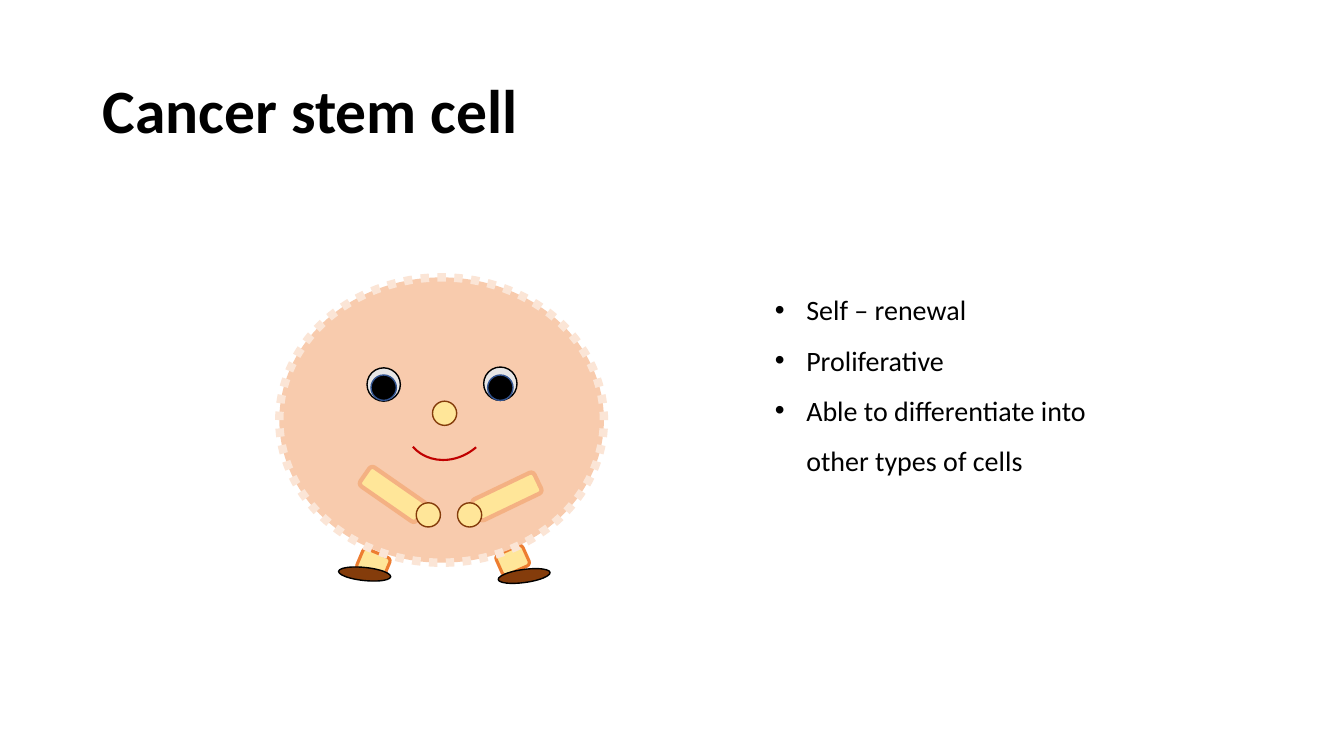
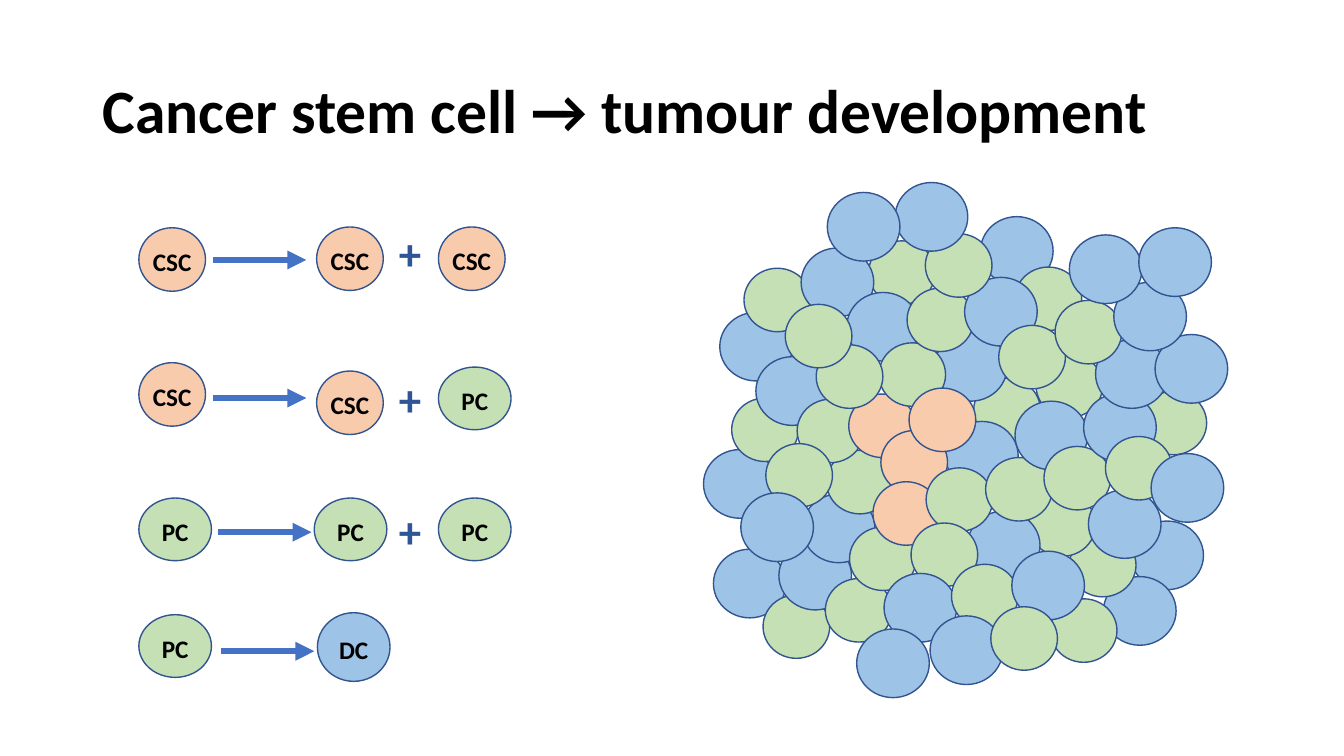
import dataclasses

import pptx
import pptx.dml.color
import pptx.enum.dml
import pptx.enum.shapes
import pptx.enum.text
import pptx.oxml
import pptx.oxml.ns
import pptx.util

Cm = pptx.util.Cm
Pt = pptx.util.Pt
SHAPES = pptx.enum.shapes.MSO_SHAPE
ALIGN = pptx.enum.text.PP_ALIGN
ANCHOR = pptx.enum.text.MSO_ANCHOR


@dataclasses.dataclass(frozen=True)
class Theme:
    font: str = "Calibri"
    title_size: int = 44
    plus_size: int = 32
    body_size: int = 20
    label_size: int = 18
    black: str = "000000"
    peach: str = "F8CBAD"
    pale_peach: str = "FBE5D6"
    green: str = "C5E0B4"
    blue: str = "9DC3E6"
    outline: str = "325491"
    arrow: str = "4472C4"
    plus: str = "2F5597"
    skin: str = "FFE699"
    orange: str = "ED7D31"
    light_orange: str = "F4B183"
    brown: str = "843C0B"
    grey: str = "E7E6E6"
    red: str = "C00000"


THEME = Theme()

# Features of the cell figure: geometry, width, height, fill, line colour, line width
FEATURES = {
    "leg": (SHAPES.ROUNDED_RECTANGLE, 0.74, 0.56, THEME.skin, THEME.orange, 2.25),
    "body": (SHAPES.OVAL, 8.18, 7.19, THEME.peach, THEME.pale_peach, 6),
    "arm": (SHAPES.ROUNDED_RECTANGLE, 1.73, 0.58, THEME.skin, THEME.light_orange, 3),
    "shoe": (SHAPES.OVAL, 1.32, 0.33, THEME.brown, THEME.black, 1),
    "eye": (SHAPES.OVAL, 0.84, 0.84, THEME.grey, THEME.black, 1),
    "pupil": (SHAPES.OVAL, 0.64, 0.64, THEME.black, THEME.outline, 1),
    "hand": (SHAPES.OVAL, 0.61, 0.61, THEME.skin, THEME.brown, 1),
    "nose": (SHAPES.OVAL, 0.61, 0.61, THEME.skin, THEME.brown, 1),
    "smile": (SHAPES.ARC, 2.39, 2.11, None, THEME.red, 1.5),
}

# Back to front: feature, left, top, rotation
FIGURE = [
    ("leg", 12.55, 13.84, 335.9),
    ("leg", 9.04, 13.92, 22.7),
    ("body", 7.04, 6.99, 0),
    ("arm", 11.91, 12.22, 334.4),
    ("arm", 9.04, 12.17, 34.8),
    ("shoe", 8.53, 14.3, 5.9),
    ("shoe", 12.55, 14.35, 352.2),
    ("eye", 9.25, 9.27, 0),
    ("eye", 12.19, 9.25, 0),
    ("pupil", 9.35, 9.45, 0),
    ("pupil", 12.29, 9.45, 0),
    ("hand", 10.49, 12.67, 14.1),
    ("hand", 11.53, 12.67, 1),
    ("nose", 10.9, 10.11, 0),
    ("smile", 10.11, 9.42, 139),
]

# Cell kinds: fill, size in the tumour, size in the division rows
CELLS = {
    "CSC": (THEME.peach, (1.68, 1.6), (1.68, 1.6)),
    "PC": (THEME.green, (1.68, 1.6), (1.83, 1.58)),
    "DC": (THEME.blue, (1.83, 1.73), (1.83, 1.73)),
}

# Each division: cells (kind, left, top), arrow start, top of the plus sign
DIVISIONS = [
    ([("CSC", 3.5, 5.74), ("CSC", 7.98, 5.72), ("CSC", 11.05, 5.72)], (5.36, 6.55), 5.56),
    ([("CSC", 3.5, 9.14), ("CSC", 7.98, 9.35), ("PC", 11.05, 9.25)], (5.36, 10.03), 9.25),
    ([("PC", 3.5, 12.55), ("PC", 7.92, 12.55), ("PC", 11.05, 12.55)], (5.49, 13.41), 12.57),
    ([("PC", 3.5, 15.49), ("DC", 8, 15.44)], (5.56, 16.41), None),
]

# Back to front: runs of one kind with their left and top
TUMOUR = [
    ("DC", [(18.14, 7.87), (24.71, 5.46), (28.5, 13.13), (27.81, 14.53)]),
    ("PC", [(26.47, 15.09), (25.58, 6.73), (18.75, 6.76), (28.73, 9.86), (26.95, 13.44)]),
    ("DC", [(17.98, 13.84)]),
    ("PC", [(21.89, 6.07), (26.11, 8.92), (19.23, 14.99)]),
    ("DC", [(20.19, 6.25), (17.73, 11.33), (19.63, 13.64)]),
    ("PC", [(18.44, 10.03), (20.8, 14.58), (25.93, 12.42), (24.54, 9.53)]),
    ("DC", [(23.83, 10.62), (23.55, 8.38), (24.38, 12.88), (19.05, 8.99),
            (21.34, 7.37), (20.22, 12.45)]),
    ("PC", [(21.41, 13.28), (20.83, 11.35), (20.09, 10.06)]),
    ("CSC", [(21.39, 9.93), (22.2, 10.85)]),
    ("PC", [(22.15, 8.64)]),
    ("CSC", [(22.91, 9.78), (22, 12.14)]),
    ("PC", [(20.57, 8.69), (23.34, 11.79), (22.96, 13.18)]),
    ("DC", [(22.28, 14.45)]),
    ("PC", [(23.98, 14.22), (24.84, 11.53), (19.3, 11.18), (22.86, 7.26), (19.79, 7.67)]),
    ("DC", [(25.5, 13.89), (25.58, 10.11), (18.67, 12.42), (24.31, 6.99)]),
    ("PC", [(26.31, 11.25), (25.17, 8.2), (23.32, 5.89)]),
    ("DC", [(27.31, 9.91), (23.44, 15.52), (22.56, 4.6), (21.59, 15.85),
            (27.61, 8.56), (27.43, 12.34)]),
    ("PC", [(24.97, 15.29), (27.86, 11), (26.59, 7.57)]),
    ("DC", [(29.01, 11.43), (29.11, 8.43), (28.07, 7.11), (26.95, 5.92),
            (20.85, 4.85), (28.7, 5.74)]),
]


def rgb(colour):
    return pptx.dml.color.RGBColor.from_string(colour)


class Deck:
    def __init__(self, theme):
        self.theme = theme
        self.presentation = pptx.Presentation()
        self.presentation.slide_width = Cm(33.87)
        self.presentation.slide_height = Cm(19.05)
        self.slide = None

    def start_slide(self, title):
        self.slide = self.presentation.slides.add_slide(self.presentation.slide_layouts[6])
        frame = self.text_box(2.34, 1.02, 29.21, 3.68)
        frame.vertical_anchor = ANCHOR.MIDDLE
        paragraph = frame.paragraphs[0]
        paragraph.line_spacing = 0.9
        self.run(paragraph, title, self.theme.title_size, bold=True)

    def run(self, paragraph, text, size, colour=None, bold=False):
        run = paragraph.add_run()
        run.text = text
        run.font.name = self.theme.font
        run.font.size = Pt(size)
        run.font.bold = bold
        run.font.color.rgb = rgb(colour or self.theme.black)

    def text_box(self, left, top, width, height, wrap=True):
        box = self.slide.shapes.add_textbox(Cm(left), Cm(top), Cm(width), Cm(height))
        box.text_frame.word_wrap = wrap
        return box.text_frame

    def bullets(self, left, top, width, height, items):
        frame = self.text_box(left, top, width, height)
        for index, item in enumerate(items):
            paragraph = frame.add_paragraph() if index else frame.paragraphs[0]
            paragraph.line_spacing = 1.5
            properties = paragraph._p.get_or_add_pPr()
            properties.set("marL", str(Cm(0.79)))
            properties.set("indent", str(-Cm(0.79)))
            namespace = pptx.oxml.ns.nsdecls("a")
            properties.append(pptx.oxml.parse_xml(f'<a:buFont {namespace} typeface="Arial"/>'))
            properties.append(pptx.oxml.parse_xml(f'<a:buChar {namespace} char="•"/>'))
            self.run(paragraph, item, self.theme.body_size)

    def shape(self, geometry, left, top, width, height, fill, line, line_width, rotation=0):
        shape = self.slide.shapes.add_shape(geometry, Cm(left), Cm(top), Cm(width), Cm(height))
        shape.shadow.inherit = False
        shape.rotation = rotation
        if fill:
            shape.fill.solid()
            shape.fill.fore_color.rgb = rgb(fill)
        else:
            shape.fill.background()
        shape.line.color.rgb = rgb(line)
        shape.line.width = Pt(line_width)
        return shape

    def feature(self, name, left, top, rotation):
        geometry, width, height, fill, line, line_width = FEATURES[name]
        shape = self.shape(geometry, left, top, width, height, fill, line, line_width, rotation)
        if name == "body":
            shape.line.dash_style = pptx.enum.dml.MSO_LINE.ROUND_DOT

    def cell(self, kind, left, top, labelled=False):
        fill, tumour_size, division_size = CELLS[kind]
        width, height = division_size if labelled else tumour_size
        shape = self.shape(SHAPES.OVAL, left, top, width, height, fill, self.theme.outline, 1)
        if labelled:
            frame = shape.text_frame
            frame.word_wrap = False
            frame.margin_left = frame.margin_right = frame.margin_bottom = 0
            frame.margin_top = Cm(0.1)
            frame.vertical_anchor = ANCHOR.MIDDLE
            paragraph = frame.paragraphs[0]
            paragraph.alignment = ALIGN.CENTER
            self.run(paragraph, kind, self.theme.label_size, bold=True)

    def arrow(self, left, top, length=2.36):
        connector = self.slide.shapes.add_connector(
            pptx.enum.shapes.MSO_CONNECTOR.STRAIGHT,
            Cm(left), Cm(top), Cm(left + length), Cm(top))
        connector.line.color.rgb = rgb(self.theme.arrow)
        connector.line.width = Pt(4.5)
        namespace = pptx.oxml.ns.nsdecls("a")
        line = connector.line._get_or_add_ln()
        line.append(pptx.oxml.parse_xml(f'<a:tailEnd {namespace} type="triangle"/>'))
        connector._element.spPr.append(pptx.oxml.parse_xml(f"<a:effectLst {namespace}/>"))

    def plus(self, top):
        frame = self.text_box(9.8, top, 1.09, 1.63, wrap=False)
        self.run(frame.paragraphs[0], "+", self.theme.plus_size, self.theme.plus, bold=True)


def build_stem_cell(deck):
    deck.start_slide("Cancer stem cell")
    for feature in FIGURE:
        deck.feature(*feature)
    deck.bullets(19.28, 6.83, 9.83, 5.26, [
        "Self – renewal",
        "Proliferative",
        "Able to differentiate into other types of cells",
    ])


def build_tumour(deck):
    deck.start_slide("Cancer stem cell → tumour development")
    for cells, arrow_start, plus_top in DIVISIONS:
        for cell in cells:
            deck.cell(*cell, labelled=True)
        deck.arrow(*arrow_start)
        if plus_top is not None:
            deck.plus(plus_top)
    for kind, positions in TUMOUR:
        for left, top in positions:
            deck.cell(kind, left, top)


def main():
    deck = Deck(THEME)
    build_stem_cell(deck)
    build_tumour(deck)
    deck.presentation.save("out.pptx")


if __name__ == "__main__":
    main()
